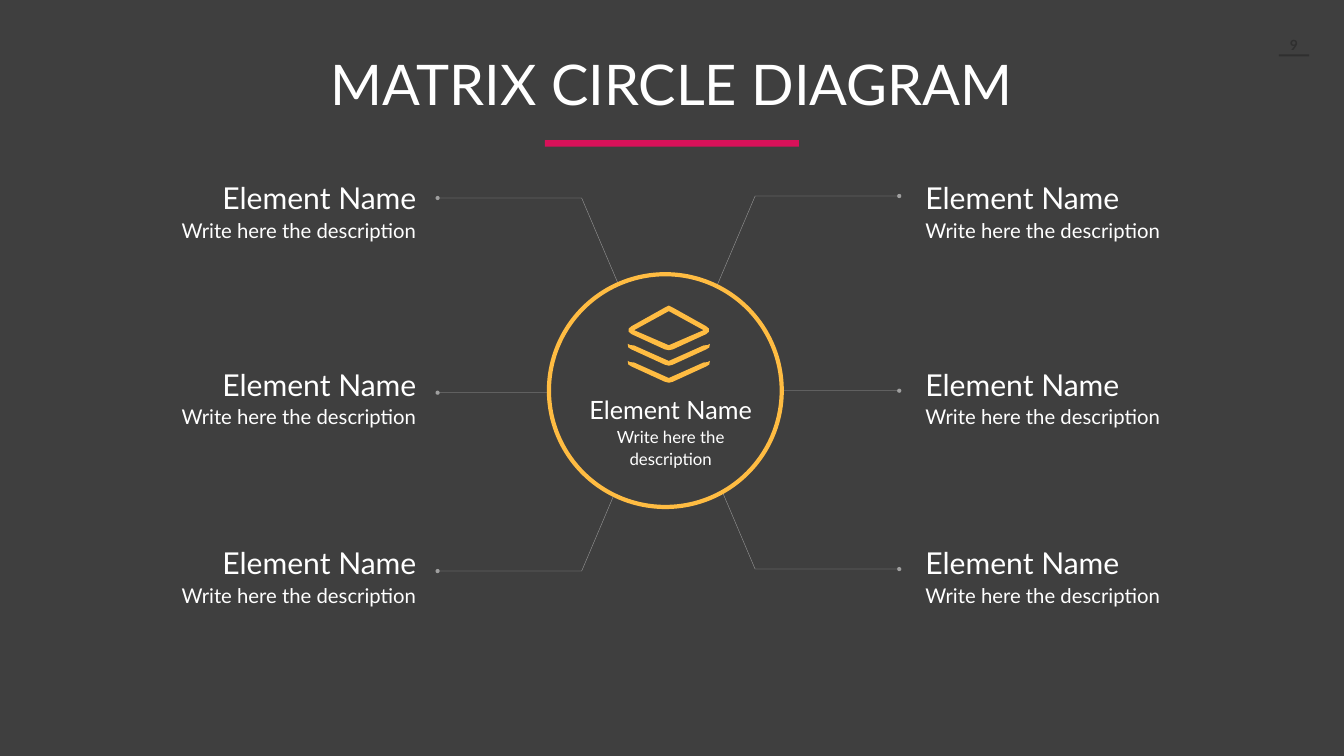
from lxml import etree
from pptx import Presentation
from pptx.dml.color import RGBColor
from pptx.enum.shapes import MSO_CONNECTOR, MSO_SHAPE
from pptx.enum.text import MSO_AUTO_SIZE, PP_ALIGN
from pptx.oxml.ns import qn
from pptx.util import Cm, Pt

LEFT, CENTER, RIGHT = PP_ALIGN.LEFT, PP_ALIGN.CENTER, PP_ALIGN.RIGHT
RECT, OVAL = MSO_SHAPE.RECTANGLE, MSO_SHAPE.OVAL
STRAIGHT = MSO_CONNECTOR.STRAIGHT
GROW = MSO_AUTO_SIZE.SHAPE_TO_FIT_TEXT

GREY = RGBColor(0x3F, 0x3F, 0x3F)
DARK = RGBColor(0x2F, 0x2F, 0x2F)
WHITE = RGBColor(0xFF, 0xFF, 0xFF)
AMBER = RGBColor(0xFF, 0xBC, 0x42)
PINK = RGBColor(0xD8, 0x11, 0x59)
FONT = "Lato"

NAME = "Element Name"
NOTE = "Write here the description"
AXIS = 33.68   # the leader lines mirror about this x
ROWS = (8.61, 18.01, 27.03)


def add_text(slide, box, items, align, spacing=1.1, inset=(0, 0.25),
             color=WHITE, bold=False):
    """Add a text box; items holds one (text, size) pair per paragraph."""
    frame = slide.shapes.add_textbox(*map(Cm, box)).text_frame
    frame.word_wrap = True
    frame.auto_size = GROW
    frame.margin_left = frame.margin_right = Cm(inset[0])
    frame.margin_top = frame.margin_bottom = Cm(inset[1])
    for i, (text, size) in enumerate(items):
        para = frame.add_paragraph() if i else frame.paragraphs[0]
        para.text = text
        para.alignment = align
        para.line_spacing = spacing
        font = para.runs[0].font
        font.name, font.size, font.bold = FONT, Pt(size), bold
        font.color.rgb = color


def add_shape(slide, kind, box, fill, edge=None, width=0):
    shape = slide.shapes.add_shape(kind, *map(Cm, box))
    shape.shadow.inherit = False
    shape.fill.solid()
    shape.fill.fore_color.rgb = fill
    if edge is None:
        shape.line.fill.background()
    else:
        shape.line.color.rgb = edge
        shape.line.width = Pt(width)


def add_path(slide, loops, closed):
    """Build one freeform from lists of points in centimetres."""
    loops = [[(Cm(x), Cm(y)) for x, y in loop] for loop in loops]
    pen = slide.shapes.build_freeform(*loops[0][0])
    for i, loop in enumerate(loops):
        if i:
            pen.move_to(*loop[0])
        pen.add_line_segments(loop[1:], close=closed)
    shape = pen.convert_to_shape()
    shape.shadow.inherit = False
    return shape


def style_lead(line):
    """Thin half-transparent white line that ends in a dot."""
    line.color.rgb = WHITE
    line.width = Pt(0.5)
    edge = line.fill._xPr
    tint = edge.find(".//" + qn("a:srgbClr"))
    etree.SubElement(tint, qn("a:alpha"), val="50000")
    etree.SubElement(edge, qn("a:tailEnd"), type="oval")


def add_leads(slide, side, mid):
    """Add the three leader lines of one side (-1 left, 1 right)."""
    near, knee, rim, end = (AXIS + side * gap
                            for gap in (0.63, 4.37, 5.71, 11.63))
    for start, far in ((-1.02, -9.81), (0.17, 8.99)):
        points = [(near, mid + start), (knee, mid + far), (end, mid + far)]
        shape = add_path(slide, [points], False)
        shape.fill.background()
        style_lead(shape.line)
    lead = slide.shapes.add_connector(
        STRAIGHT, Cm(rim), Cm(mid), Cm(end), Cm(mid))
    etree.SubElement(lead._element.spPr, qn("a:effectLst"))
    style_lead(lead.line)
    # the effect list must follow the line element
    lead._element.spPr.append(lead._element.spPr.find(qn("a:effectLst")))


def mirror(half, x, y):
    """Place the right half of an outline and add its left half."""
    left = [(-dx, dy) for dx, dy in reversed(half) if dx]
    return [(x + dx, y + dy) for dx, dy in half + left]


def add_layers(slide, x, y):
    """Draw the icon of three stacked sheets, with its top at (x, y)."""
    rim = [(0, 0), (0.2, 0.1), (1.88, 1.04), (2.02, 1.16), (2.02, 1.32),
           (1.88, 1.44), (0.2, 2.21), (0, 2.25)]
    hole = [(0, 0.28), (1.75, 1.24), (0, 2)]
    sheet = [(0, 0.86), (1.75, 0.08), (1.95, 0.06), (2.07, 0),
             (2.04, 0.18), (1.88, 0.28), (0.2, 1.05), (0, 1.1)]
    loops = [mirror(rim, x, y), mirror(hole, x, y),
             mirror(sheet, x, y + 1.93), mirror(sheet, x, y + 2.79)]
    icon = add_path(slide, loops, True)
    icon.fill.solid()
    icon.fill.fore_color.rgb = AMBER
    icon.line.fill.background()


def main():
    deck = Presentation()
    deck.slide_width, deck.slide_height = Cm(67.72), Cm(38.1)
    slide = deck.slides.add_slide(deck.slide_layouts[6])
    slide.background.fill.solid()
    slide.background.fill.fore_color.rgb = GREY

    add_text(slide, (64.4, 1.73, 1.6, 1), [("9", 20)], CENTER, 1,
             (0, 0.1), DARK, True)
    add_shape(slide, RECT, (64.44, 2.74, 1.52, 0.1), DARK)

    add_leads(slide, -1, 19.79)
    add_leads(slide, 1, 19.69)
    add_shape(slide, OVAL, (27.66, 13.82, 11.73, 11.73), GREY, AMBER, 6)

    for x, align in ((8.38, RIGHT), (46.63, LEFT)):
        for y in ROWS:
            add_text(slide, (x, y, 12.6, 3.86),
                     [(NAME, 43), (NOTE, 29)], align)

    add_layers(slide, 33.7, 15.4)
    add_text(slide, (29.06, 19.46, 9.47, 4.42),
             [(NAME, 36), (NOTE, 24)], CENTER)

    add_shape(slide, RECT, (27.46, 7.06, 12.8, 0.33), PINK)
    add_text(slide, (3.91, 2.74, 59.89, 3.3),
             [("MATRIX CIRCLE DIAGRAM", 80)], CENTER, 0.9, (0.25, 0.13))
    deck.save("out.pptx")


if __name__ == "__main__":
    main()
